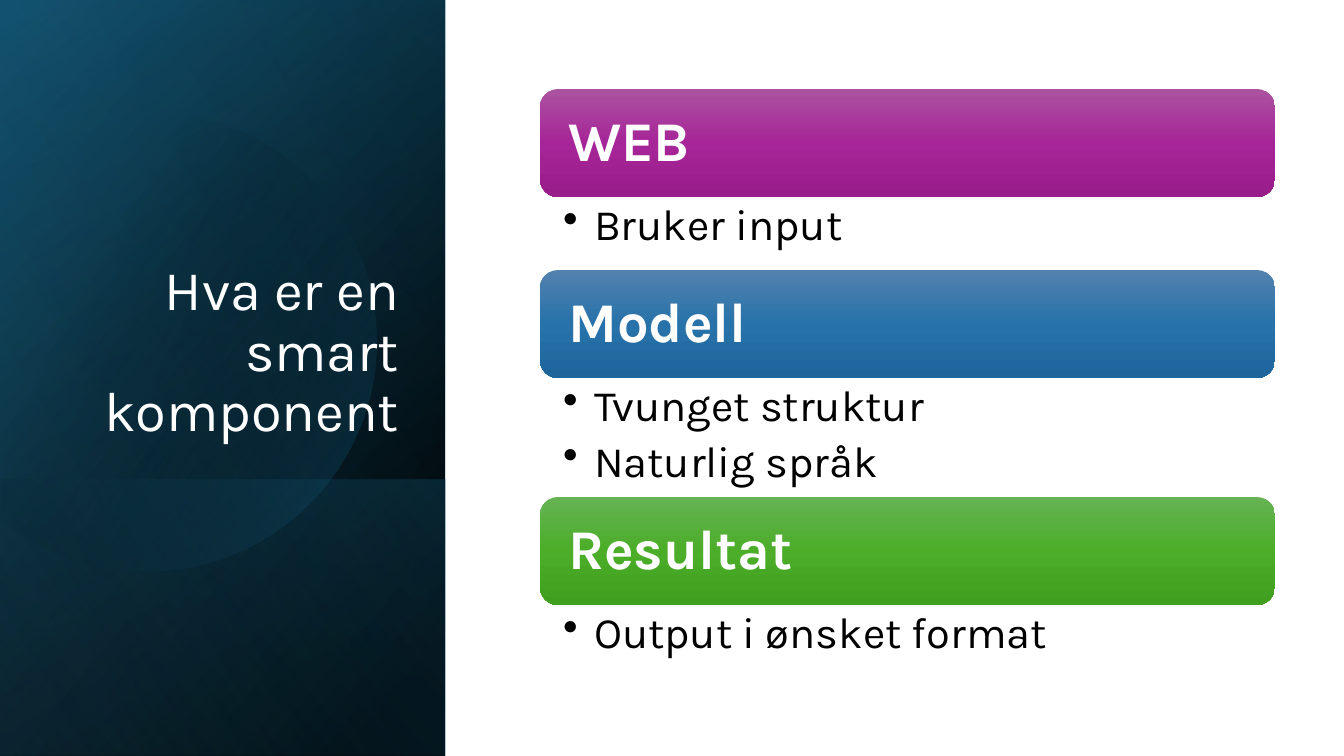
from math import cos, radians, sin

from lxml.etree import SubElement
from pptx import Presentation
from pptx.dml.color import RGBColor
from pptx.enum.shapes import MSO_SHAPE as Shape
from pptx.enum.text import MSO_ANCHOR as Anchor, PP_ALIGN as Align
from pptx.oxml.ns import qn
from pptx.util import Pt

# Content
TITLE = "Hva er en smart komponent"
FONT = "Karla"

BLACK = RGBColor(0x00, 0x00, 0x00)
WHITE = RGBColor(0xFF, 0xFF, 0xFF)
DEEP_TEAL = RGBColor(0x10, 0x48, 0x62)
TEAL = RGBColor(0x15, 0x60, 0x82)
SKY = RGBColor(0x46, 0xB1, 0xE1)
PURPLES = [RGBColor(0xAC, 0x53, 0xA0), RGBColor(0xA6, 0x25, 0x98), RGBColor(0x99, 0x1C, 0x8B)]
BLUES = [RGBColor(0x53, 0x82, 0xAF), RGBColor(0x27, 0x72, 0xA9), RGBColor(0x1D, 0x66, 0x9C)]
GREENS = [RGBColor(0x66, 0xB3, 0x54), RGBColor(0x4B, 0xAD, 0x28), RGBColor(0x40, 0x9F, 0x1E)]

SECTIONS = [
    ("WEB", PURPLES, ["Bruker input"]),
    ("Modell", BLUES, ["Tvunget struktur", "Naturlig språk"]),
    ("Resultat", GREENS, ["Output i ønsket format"]),
]

# Layout in px
PAGE_W, PAGE_H = 1344, 756
SCALE = 914400 / 100.8
PANEL_W = 445
SHADE_TOP = 480
DISC_X, DISC_Y, DISC_R = 146, 341, 230
CARD_X, CARD_Y, CARD_W, HEADER_H = 540, 89, 735, 108
BODY_PAD, LINE_H = 27, 46
INDENT = 31

# Panel layers: top, gradient angle, stops of (position, colour, opacity) in percent
UNDER_DISC = [
    (0, 220, [(8, BLACK, 100), (100, DEEP_TEAL, 100)]),
    (0, 240, [(0, BLACK, 0), (99, TEAL, 46)]),
    (SHADE_TOP, 140, [(2, TEAL, 29), (100, BLACK, 30)]),
]
DISC_STOPS = [(29, BLACK, 0), (100, TEAL, 43)]
OVER_DISC = [(0, 150, [(0, BLACK, 0), (99, SKY, 11)])]


def px(length):
    return round(length * SCALE)


def add_gradient(shape, angle, stops):
    shape.shadow.inherit = False
    shape.line.fill.background()
    shape.fill.gradient()
    shape.fill.gradient_angle = -angle % 360
    stop_list = shape._element.spPr.find(qn("a:gradFill")).find(qn("a:gsLst"))
    for old_stop in list(stop_list):
        stop_list.remove(old_stop)
    for position, colour, opacity in stops:
        stop = SubElement(stop_list, qn("a:gs"), pos=str(position * 1000))
        tint = SubElement(stop, qn("a:srgbClr"), val=str(colour))
        if opacity < 100:
            SubElement(tint, qn("a:alpha"), val=str(opacity * 1000))


def add_shape(kind, left, top, width, height, angle, stops):
    shape = page.shapes.add_shape(kind, px(left), px(top), px(width), px(height))
    add_gradient(shape, angle, stops)
    return shape


def add_box(left, top, width, height):
    return page.shapes.add_textbox(px(left), px(top), px(width), px(height))


def set_text(shape, lines, size, colour, margins, anchor, align=Align.LEFT, bold=False):
    frame = shape.text_frame
    frame.word_wrap = True
    frame.vertical_anchor = anchor
    (frame.margin_left, frame.margin_top,
     frame.margin_right, frame.margin_bottom) = map(px, margins)
    frame.text = "\n".join(lines)
    for para in frame.paragraphs:
        para.alignment = align
        para.line_spacing = 0.9
        para.font.name = FONT
        para.font.size = Pt(size)
        para.font.bold = bold
        para.font.color.rgb = colour
    return frame.paragraphs


def add_bullet(para):
    para.space_after = Pt(6.2)
    props = para._p.get_or_add_pPr()
    props.set("marL", str(px(INDENT)))
    props.set("indent", str(-px(INDENT)))
    bullet = props.makeelement(qn("a:buChar"), {"char": "•"})
    props.insert_element_before(bullet, "a:tabLst", "a:defRPr", "a:extLst")


def add_layers(layers):
    for top, angle, stops in layers:
        add_shape(Shape.RECTANGLE, 0, top, PANEL_W, PAGE_H - top, angle, stops)


deck = Presentation()
deck.slide_width, deck.slide_height = px(PAGE_W), px(PAGE_H)
page = deck.slides.add_slide(deck.slide_layouts[6])

# Dark panel with a disc cut off by the page edge
add_layers(UNDER_DISC)
rim = [(px(DISC_X + DISC_R * cos(radians(turn))), px(DISC_Y + DISC_R * sin(radians(turn))))
       for turn in range(-129, 130, 3)]
outline = page.shapes.build_freeform(*rim[0])
outline.add_line_segments(rim[1:], close=True)
add_gradient(outline.convert_to_shape(), 30, DISC_STOPS)
add_layers(OVER_DISC)

# Title
set_text(add_box(65, 185, 344, 264), [TITLE], 40, WHITE, (10, 5, 10, 5),
         Anchor.BOTTOM, Align.RIGHT)

# Section headers, each followed by its bullets
top = CARD_Y
for heading, colours, points in SECTIONS:
    stops = [(50 * step, colour, 100) for step, colour in enumerate(colours)]
    header = add_shape(Shape.ROUNDED_RECTANGLE, CARD_X, top, CARD_W, HEADER_H, 90, stops)
    set_text(header, [heading], 40, WHITE, (23, 22, 23, 22), Anchor.MIDDLE, bold=True)
    top += HEADER_H

    body_h = BODY_PAD + LINE_H * len(points)
    body = add_box(CARD_X, top, CARD_W, body_h)
    for para in set_text(body, points, 31, BLACK, (23, 6, 31, 6), Anchor.TOP):
        add_bullet(para)
    top += body_h

deck.save("out.pptx")
